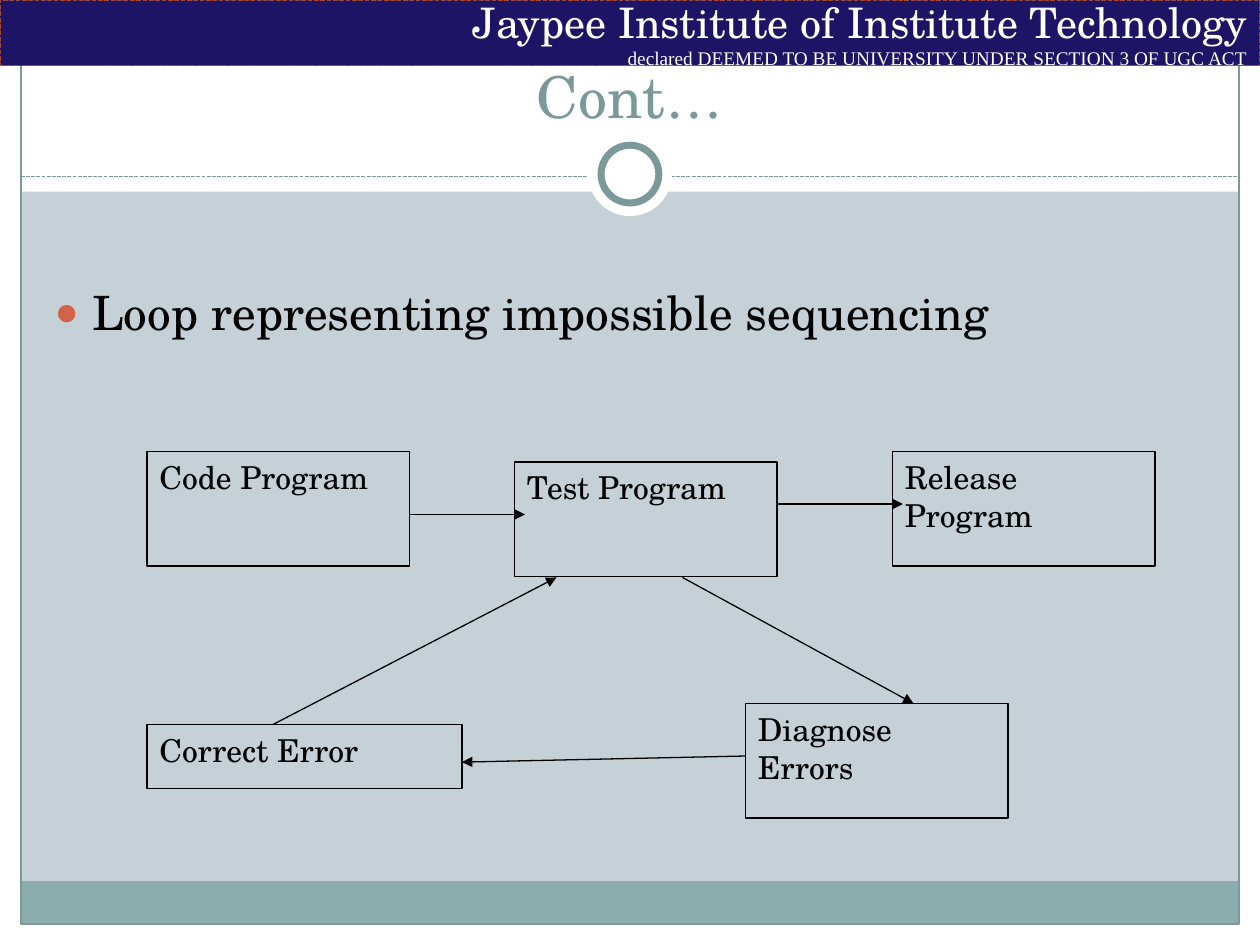
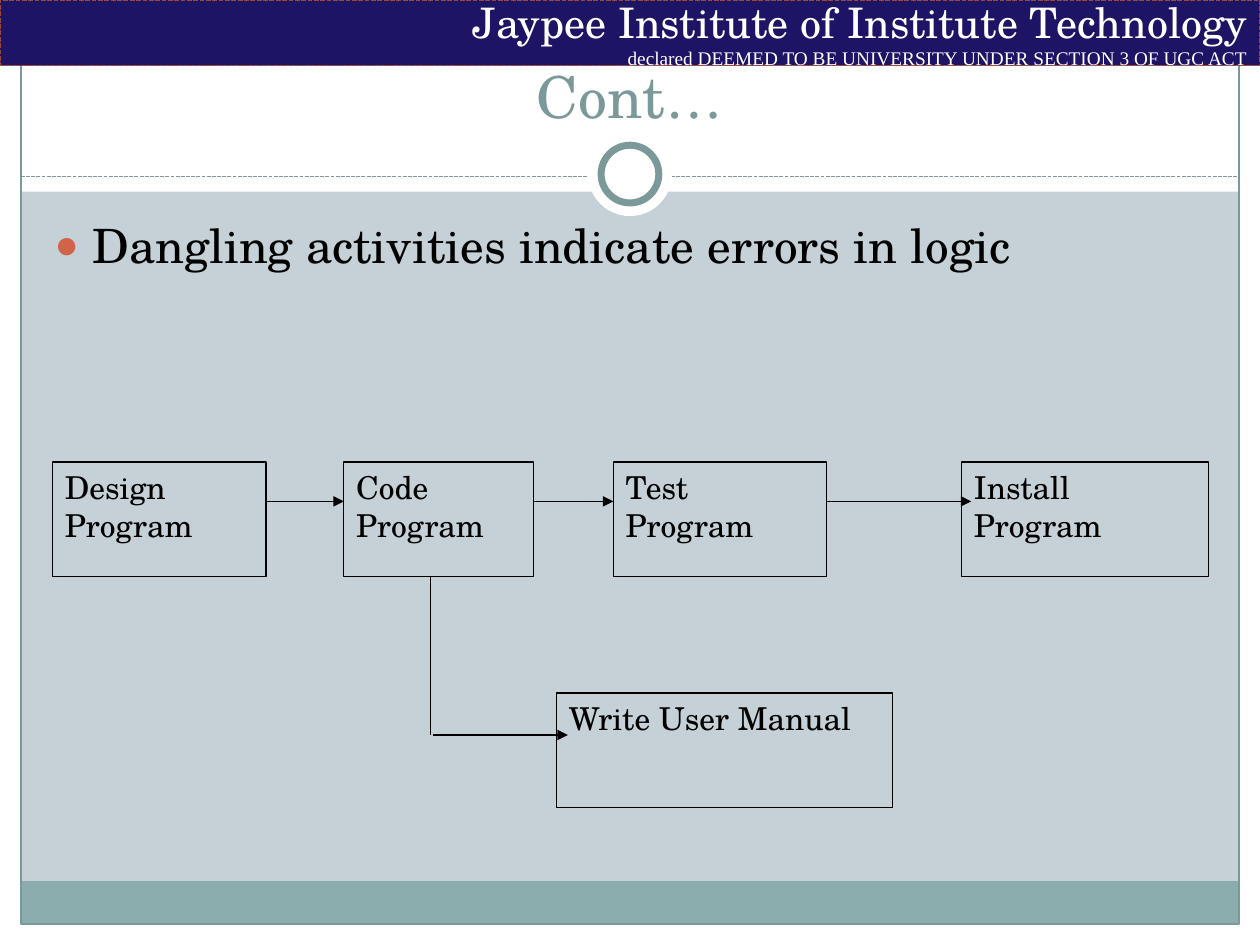
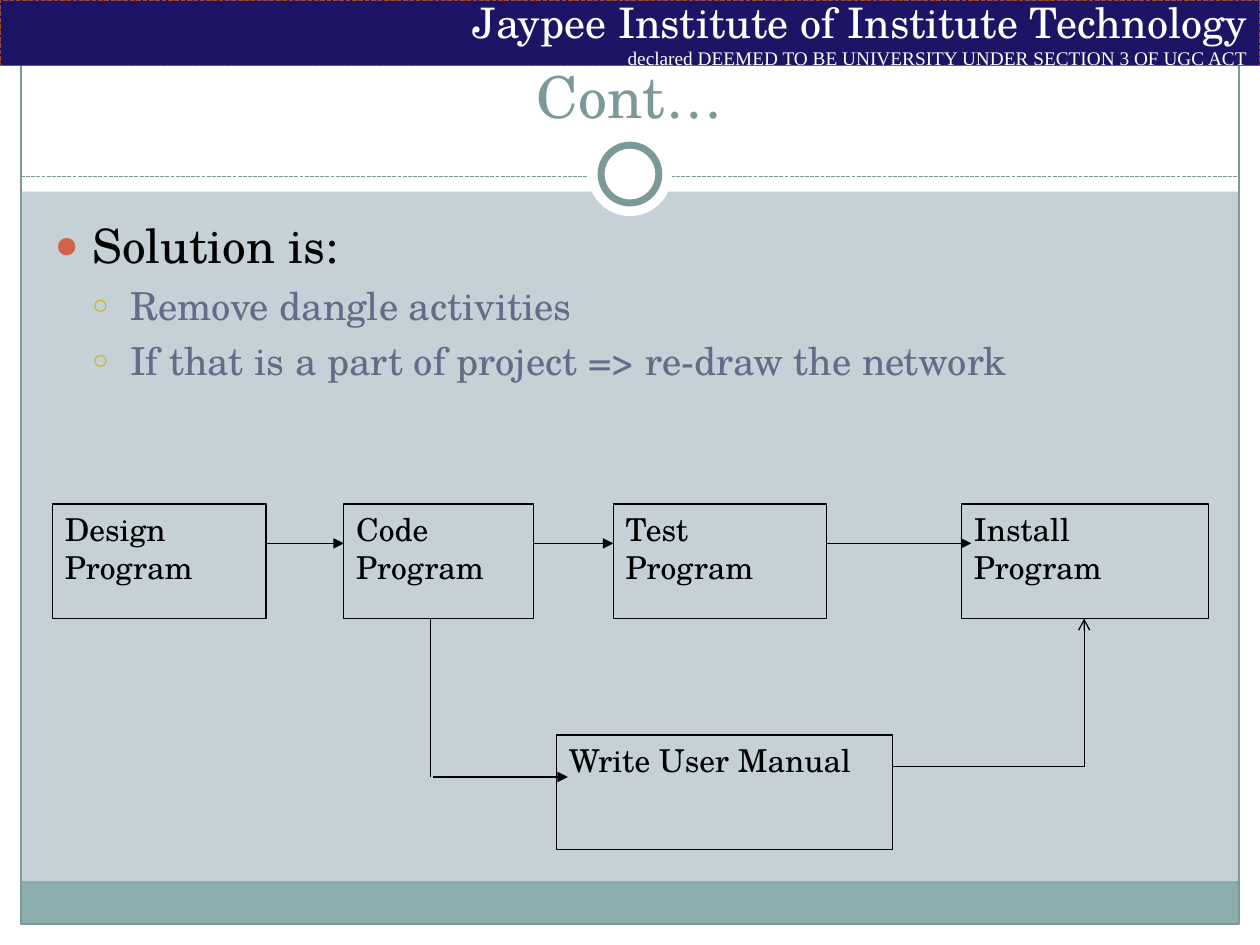
"""Build three slides on errors in activity networks."""
from typing import NamedTuple

from lxml import etree
from pptx import Presentation
from pptx import util as u
from pptx.dml.color import RGBColor
from pptx.enum import dml, shapes, text
from pptx.oxml import ns

SERIF = "TeX Gyre Schola"
BLACK, WHITE, SAGE = "000000", "FFFFFF", "7C999A"
RECT, OVAL = shapes.MSO_SHAPE.RECTANGLE, shapes.MSO_SHAPE.OVAL
BOX_HEIGHT = 65.5
LINE_STEP = 38.3


class Panel(NamedTuple):
    left: float
    top: float
    width: float
    height: float
    fill: str | None = None
    line: str | None = None
    weight: float = 0.75
    kind: shapes.MSO_SHAPE = RECT


class Activity(NamedTuple):
    label: str
    left: float
    top: float
    width: float = 150
    height: float = BOX_HEIGHT


class Link(NamedTuple):
    x1: float
    y1: float
    x2: float
    y2: float
    head: str | None = "triangle"
    bent: bool = False


class Level(NamedTuple):
    size: float
    color: str
    symbol: str
    symbol_color: str
    percent: int
    indent: float


LEVELS = (
    Level(27, BLACK, "●", "D16349", 85, 21.6),
    Level(22, "646B86", "○", "CCB400", 70, 43.2),
)

BACKDROP = (
    Panel(0, 528, 720, 12, WHITE),
    Panel(0, 0, 720, 109.5, WHITE),
    Panel(0, 0, 12, 540, WHITE),
    Panel(708, 0, 12, 540, WHITE),
    Panel(11.5, 503.5, 696, 24.5, "8CADAE"),
    Panel(12, 12, 696, 516, None, SAGE),
)
RING = (
    Panel(336, 75.5, 48, 48, WHITE, kind=OVAL),
    Panel(343.5, 83, 33, 33, WHITE, SAGE, 4, OVAL),
)
BANNER = Panel(0, 0, 720, 37.5, "1E1466", "9B4936", 0.9)


def rgb(value: str) -> RGBColor:
    """Turn a hex string into a colour."""
    return RGBColor.from_string(value)


def add_span(para, words: str, size: float, color: str, font: str = SERIF) -> None:
    """Add one formatted run to a paragraph."""
    span = para.add_run()
    span.text = words
    span.font.name = font
    span.font.size = u.Pt(size)
    span.font.color.rgb = rgb(color)


def draw_panel(page, panel: Panel):
    """Draw a preset shape with an optional fill and outline."""
    shape = page.shapes.add_shape(panel.kind, *map(u.Pt, panel[:4]))
    shape.shadow.inherit = False
    if panel.fill:
        shape.fill.solid()
        shape.fill.fore_color.rgb = rgb(panel.fill)
    else:
        shape.fill.background()
    if panel.line:
        shape.line.color.rgb = rgb(panel.line)
        shape.line.width = u.Pt(panel.weight)
    else:
        shape.line.fill.background()
    return shape


def draw_link(page, link: Link, color: str = BLACK):
    """Draw a straight or right-angled connector."""
    kind = shapes.MSO_CONNECTOR.ELBOW if link.bent else shapes.MSO_CONNECTOR.STRAIGHT
    connector = page.shapes.add_connector(kind, *map(u.Pt, link[:4]))
    connector.line.color.rgb = rgb(color)
    connector.line.width = u.Pt(0.75)
    properties = connector._element.spPr
    if link.bent:
        properties.find(ns.qn("a:prstGeom")).set("prst", "bentConnector2")
    if link.head:
        etree.SubElement(properties.find(ns.qn("a:ln")), ns.qn("a:tailEnd"), type=link.head)
    etree.SubElement(properties, ns.qn("a:effectLst"))
    return connector


def draw_activity(page, activity: Activity) -> None:
    """Draw a labelled activity box."""
    box = draw_panel(page, Panel(*activity[1:], line=BLACK))
    frame = box.text_frame
    frame.word_wrap = True
    frame.vertical_anchor = text.MSO_ANCHOR.TOP
    para = frame.paragraphs[0]
    para.alignment = text.PP_ALIGN.LEFT
    add_span(para, activity.label, 18, BLACK)


def draw_banner(page) -> None:
    """Draw the institute banner."""
    banner = draw_panel(page, BANNER)
    banner.line.dash_style = dml.MSO_LINE.SQUARE_DOT
    frame = banner.text_frame
    frame.word_wrap = True
    frame.vertical_anchor = text.MSO_ANCHOR.MIDDLE
    name, status = frame.paragraphs[0], frame.add_paragraph()
    name.alignment = status.alignment = text.PP_ALIGN.RIGHT
    add_span(name, "Jaypee Institute of Institute Technology", 24, WHITE)
    add_span(status, "declared DEEMED TO BE UNIVERSITY UNDER SECTION 3 OF UGC ACT",
             11, WHITE, "Times New Roman")


def place(box, left: float, top: float, width: float, height: float) -> None:
    """Move and size a placeholder."""
    box.left, box.top, box.width, box.height = map(u.Pt, (left, top, width, height))


def prepare_layout(page) -> None:
    """Give the page's layout the shared background, frame and placeholders."""
    layout = page.slide_layout
    layout.background.fill.solid()
    layout.background.fill.fore_color.rgb = rgb("C5D1D7")
    for holder in list(layout.placeholders):
        index = holder.placeholder_format.idx
        if index == 0:
            place(holder, 24, 18, 672, 60)
        elif index == 1:
            place(holder, 24, 120, 670, 360)
        else:
            layout.shapes._spTree.remove(holder._element)
    for panel in BACKDROP:
        draw_panel(page, panel)
    rule = draw_link(page, Link(12, 101, 708, 101, None), SAGE)
    rule.line.dash_style = dml.MSO_LINE.SQUARE_DOT
    for panel in RING:
        draw_panel(page, panel)
    draw_banner(page)
    for shape in list(page.shapes):
        if not shape.is_placeholder:
            layout.shapes._spTree.append(shape._element)


def add_bullet(para, level: Level) -> None:
    """Set a paragraph's hanging indent and bullet."""
    properties = para._p.get_or_add_pPr()
    properties.set("marL", str(u.Pt(level.indent)))
    properties.set("indent", str(u.Pt(-21.6)))
    color = etree.SubElement(properties, ns.qn("a:buClr"))
    etree.SubElement(color, ns.qn("a:srgbClr"), val=level.symbol_color)
    etree.SubElement(properties, ns.qn("a:buSzPct"), val=str(level.percent * 1000))
    etree.SubElement(properties, ns.qn("a:buChar"), char=level.symbol)


def fill_page(page, points: list[tuple[int, str]], activities: list[Activity],
              links: list[Link], lines_down: int = 0) -> None:
    """Write the title and list, then draw the network."""
    title, body = page.shapes.title.text_frame, page.placeholders[1].text_frame
    title.auto_size = body.auto_size = text.MSO_AUTO_SIZE.NONE
    title.vertical_anchor = text.MSO_ANCHOR.BOTTOM
    title.paragraphs[0].alignment = text.PP_ALIGN.CENTER
    add_span(title.paragraphs[0], "Cont…", 33, SAGE)
    body.margin_top = u.Pt(3.6 + lines_down * LINE_STEP)
    for position, (depth, words) in enumerate(points):
        para = body.add_paragraph() if position else body.paragraphs[0]
        level = LEVELS[depth]
        para.level = depth
        add_bullet(para, level)
        para.space_before = u.Pt(5 if position else 0)
        add_span(para, words, level.size, level.color)
    for activity in activities:
        draw_activity(page, activity)
    for link in links:
        draw_link(page, link)


def program_chain(top: float) -> tuple[list[Activity], list[Link]]:
    """Return the program chain with its user manual branch."""
    activities = [
        Activity("Write User Manual", 318, top + 132, 192),
        Activity("Design Program", 30, top, 122),
        Activity("Test Program", 350.5, top, 122),
        Activity("Code Program", 196.5, top, 108.5),
        Activity("Install Program", 549.5, top, 141),
    ]
    row, branch = top + 22.5, top + 156
    links = [Link(246, top + 66, 246, branch, None)]
    links += [Link(x1, row, x2, row) for x1, x2 in ((152, 196.5), (305, 350.5), (472.5, 555))]
    links.append(Link(247.5, branch, 324.5, branch))
    return activities, links


def main() -> None:
    """Build and save the deck."""
    deck = Presentation()
    deck.slide_width, deck.slide_height = u.Pt(720), u.Pt(540)
    loop, dangling, solution = [deck.slides.add_slide(deck.slide_layouts[1]) for _ in range(3)]
    prepare_layout(loop)

    fill_page(loop, [(0, "Loop representing impossible sequencing")], [
        Activity("Code Program", 84, 258),
        Activity("Test Program", 294, 264),
        Activity("Release Program", 510, 258),
        Activity("Correct Error", 84, 414, 180, 36.5),
        Activity("Diagnose Errors", 426, 402),
    ], [
        Link(234, 294, 300, 294),
        Link(444, 288, 516, 288),
        Link(156, 414, 318, 330),
        Link(390, 330, 522, 402),
        Link(426, 432, 264, 435.5),
    ], lines_down=1)

    fill_page(dangling, [(0, "Dangling activities indicate errors in logic")],
              *program_chain(264))

    activities, links = program_chain(288)
    links.append(Link(510, 438, 619.5, 353.5, "arrow", True))
    fill_page(solution, [
        (0, "Solution is:"),
        (1, "Remove dangle activities"),
        (1, "If that is a part of project => re-draw the network"),
    ], activities, links)

    deck.save("out.pptx")


if __name__ == "__main__":
    main()
